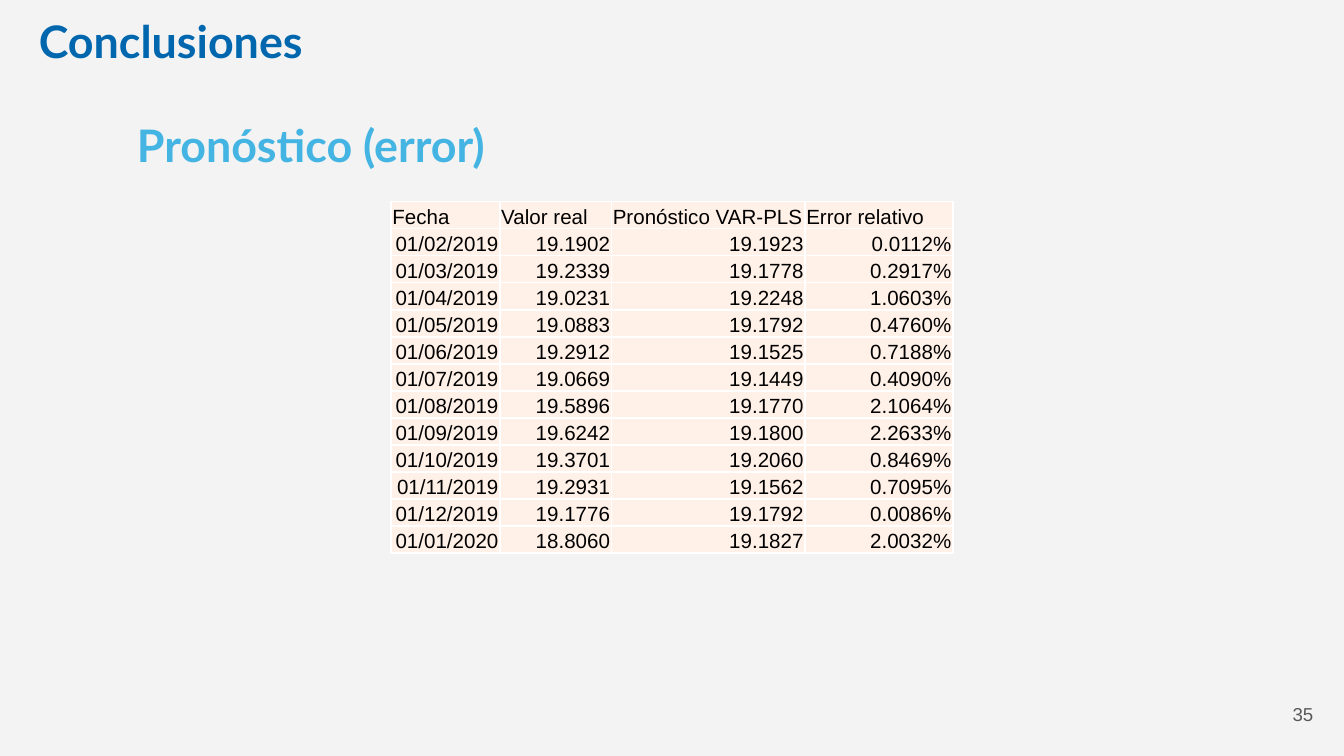
from dataclasses import dataclass

from lxml.etree import SubElement
from pptx import Presentation
from pptx.dml.color import RGBColor
from pptx.enum.text import MSO_ANCHOR, MSO_AUTO_SIZE, PP_ALIGN
from pptx.oxml.ns import qn
from pptx.slide import Slide
from pptx.table import _Cell
from pptx.text.text import TextFrame
from pptx.util import Inches, Pt


@dataclass(frozen=True)
class TextStyle:
    font: str
    size: int
    color: str
    bold: bool = False


@dataclass(frozen=True)
class Theme:
    background: str = "F3F3F3"
    cell_fill: str = "FFF1E8"
    border: str = "FFFFFF"
    border_width: int = 1
    title: TextStyle = TextStyle("Lato", 24, "0067AE", True)
    subtitle: TextStyle = TextStyle("Lato", 24, "44B4E3", True)
    table: TextStyle = TextStyle("Arial", 11, "000000")
    page_number: TextStyle = TextStyle("Arial", 10, "595959")


@dataclass(frozen=True)
class Label:
    text: str
    left: float
    top: float
    width: float
    height: float
    style: TextStyle


@dataclass(frozen=True)
class Forecast:
    date: str
    actual: str
    predicted: str
    error: str

    def values(self) -> tuple[str, ...]:
        return self.date, self.actual, self.predicted, self.error


THEME = Theme()
HEADINGS = [
    Label("Conclusiones", 0.19, 0.05, 3.39, 0.5, THEME.title),
    Label("Pronóstico (error)", 0.92, 0.83, 7.22, 0.5, THEME.subtitle),
]
PAGE_NUMBER = Label("35", 9.27, 5.1, 0.6, 0.43, THEME.page_number)

HEADER = ("Fecha", "Valor real", "Pronóstico VAR-PLS", "Error relativo")
COLUMN_WIDTHS = (0.81, 0.83, 1.44, 1.1)
TABLE_LEFT, TABLE_TOP, TABLE_HEIGHT = 2.91, 1.5, 2.62
FORECASTS = [
    Forecast("01/02/2019", "19.1902", "19.1923", "0.0112%"),
    Forecast("01/03/2019", "19.2339", "19.1778", "0.2917%"),
    Forecast("01/04/2019", "19.0231", "19.2248", "1.0603%"),
    Forecast("01/05/2019", "19.0883", "19.1792", "0.4760%"),
    Forecast("01/06/2019", "19.2912", "19.1525", "0.7188%"),
    Forecast("01/07/2019", "19.0669", "19.1449", "0.4090%"),
    Forecast("01/08/2019", "19.5896", "19.1770", "2.1064%"),
    Forecast("01/09/2019", "19.6242", "19.1800", "2.2633%"),
    Forecast("01/10/2019", "19.3701", "19.2060", "0.8469%"),
    Forecast("01/11/2019", "19.2931", "19.1562", "0.7095%"),
    Forecast("01/12/2019", "19.1776", "19.1792", "0.0086%"),
    Forecast("01/01/2020", "18.8060", "19.1827", "2.0032%"),
]


def write(frame: TextFrame, text: str, style: TextStyle, align: PP_ALIGN) -> None:
    para = frame.paragraphs[0]
    para.alignment = align
    span = para.add_run()
    span.text = text
    span.font.name = style.font
    span.font.size = Pt(style.size)
    span.font.bold = style.bold
    span.font.color.rgb = RGBColor.from_string(style.color)


def add_label(page: Slide, label: Label, align: PP_ALIGN = PP_ALIGN.LEFT) -> TextFrame:
    box = page.shapes.add_textbox(
        Inches(label.left), Inches(label.top), Inches(label.width), Inches(label.height)
    )
    frame = box.text_frame
    frame.word_wrap = True
    write(frame, label.text, label.style, align)
    return frame


def add_borders(cell: _Cell) -> None:
    properties = cell._tc.get_or_add_tcPr()
    for position, side in enumerate(("a:lnL", "a:lnR", "a:lnT", "a:lnB")):
        line = SubElement(properties, qn(side), w=str(Pt(THEME.border_width)))
        fill = SubElement(line, qn("a:solidFill"))
        SubElement(fill, qn("a:srgbClr"), val=THEME.border)
        properties.insert(position, line)  # borders come before the fill


def fill_cell(cell: _Cell, text: str, align: PP_ALIGN) -> None:
    cell.fill.solid()
    cell.fill.fore_color.rgb = RGBColor.from_string(THEME.cell_fill)
    cell.vertical_anchor = MSO_ANCHOR.BOTTOM
    cell.margin_left = cell.margin_right = cell.margin_top = Inches(0.01)
    cell.margin_bottom = Inches(0)
    add_borders(cell)
    write(cell.text_frame, text, THEME.table, align)


def add_forecast_table(page: Slide) -> None:
    rows = [HEADER] + [forecast.values() for forecast in FORECASTS]
    table = page.shapes.add_table(
        len(rows), len(HEADER), Inches(TABLE_LEFT), Inches(TABLE_TOP),
        Inches(sum(COLUMN_WIDTHS)), Inches(TABLE_HEIGHT),
    ).table
    table.first_row = table.horz_banding = False
    for column, width in zip(table.columns, COLUMN_WIDTHS):
        column.width = Inches(width)
    for row_index, values in enumerate(rows):
        align = PP_ALIGN.RIGHT if row_index else PP_ALIGN.LEFT
        for column_index, value in enumerate(values):
            fill_cell(table.cell(row_index, column_index), value, align)


def main() -> None:
    deck = Presentation()
    deck.slide_width = Inches(10)
    deck.slide_height = Inches(10 * 9 / 16)  # widescreen
    page = deck.slides.add_slide(deck.slide_layouts[6])
    page.background.fill.solid()
    page.background.fill.fore_color.rgb = RGBColor.from_string(THEME.background)

    # Page number
    number = add_label(page, PAGE_NUMBER, PP_ALIGN.RIGHT)
    number.vertical_anchor = MSO_ANCHOR.MIDDLE
    number.margin_left = number.margin_right = Inches(0.1)
    number.margin_top = number.margin_bottom = Inches(0.1)

    # Headings
    for heading in HEADINGS:
        add_label(page, heading).auto_size = MSO_AUTO_SIZE.SHAPE_TO_FIT_TEXT

    # Forecast errors
    add_forecast_table(page)

    deck.save("out.pptx")


if __name__ == "__main__":
    main()
